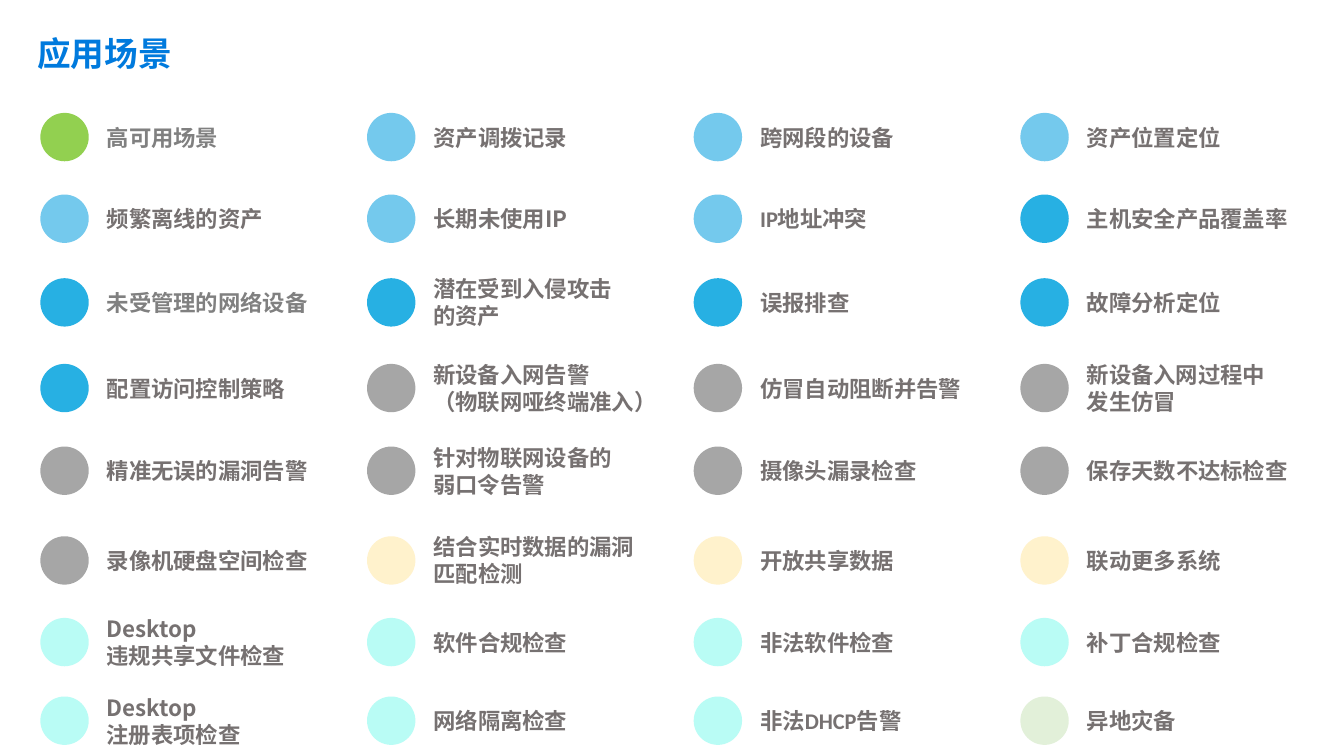
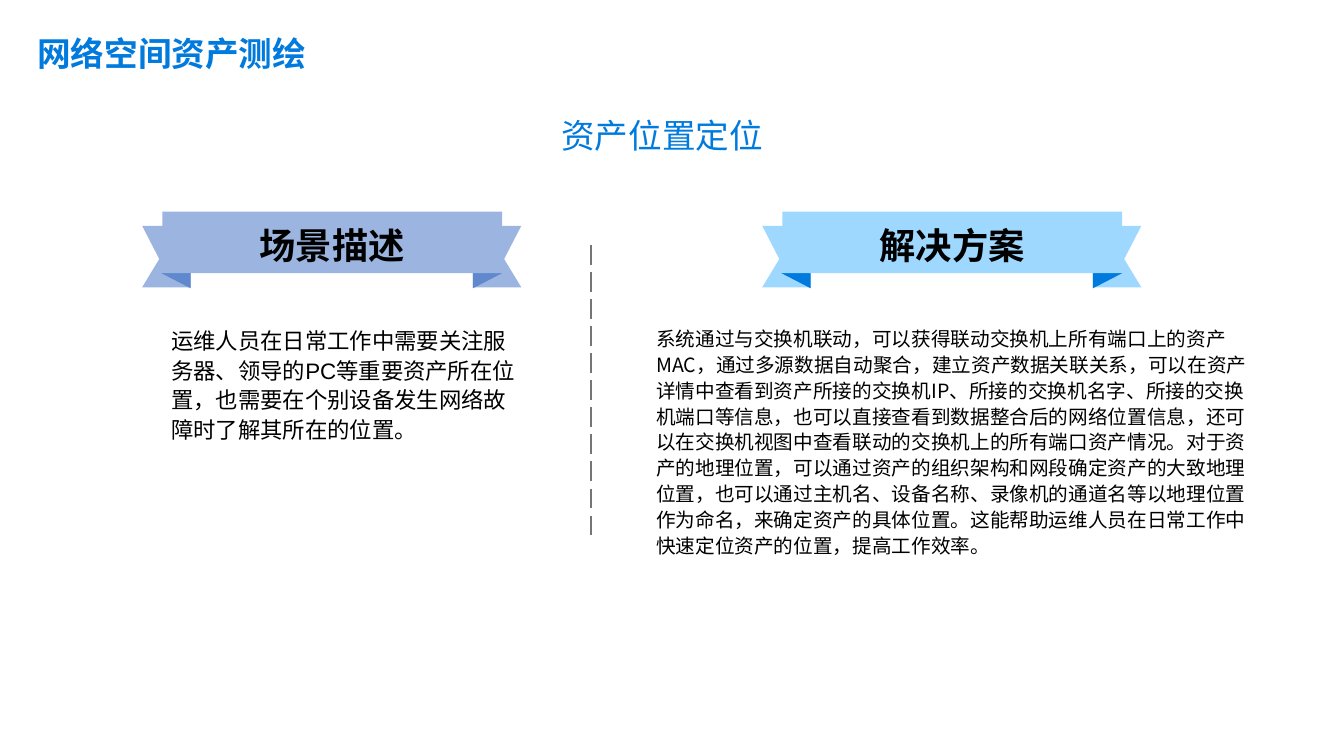
from lxml import etree
from pptx import Presentation
from pptx import util as u
from pptx.dml.color import RGBColor
from pptx.enum import dml, shapes, text
from pptx.oxml.ns import qn

PX = 9144
CJK = "Noto Sans CJK SC"
COLOURS = {
    "brand": "007ADD", "label": "767171", "label_light": "808080",
    "black": "000000", "divider": "757575",
    "green": "92D050", "sky": "74C9ED", "blue": "27B0E3", "grey": "A6A6A6",
    "cream": "FFF2CC", "mint": "B9FCF5", "pale": "E2F0D9",
    "wing_violet": "9BB5E0", "fold_violet": "5F88CD", "wing_blue": "9FD8FF",
}
SCENARIOS = [
    ("green", ["高可用场景"]),
    ("sky", ["资产调拨记录", "跨网段的设备", "资产位置定位",
             "频繁离线的资产", "长期未使用IP", "IP地址冲突"]),
    ("blue", ["主机安全产品覆盖率", "未受管理的网络设备", "潜在受到入侵攻击\n的资产",
              "误报排查", "故障分析定位", "配置访问控制策略"]),
    ("grey", ["新设备入网告警\n（物联网哑终端准入）", "仿冒自动阻断并告警",
              "新设备入网过程中\n发生仿冒", "精准无误的漏洞告警",
              "针对物联网设备的\n弱口令告警", "摄像头漏录检查",
              "保存天数不达标检查", "录像机硬盘空间检查"]),
    ("cream", ["结合实时数据的漏洞匹配检测", "开放共享数据", "联动更多系统"]),
    ("mint", ["Desktop\n违规共享文件检查", "软件合规检查", "非法软件检查",
              "补丁合规检查", "Desktop\n注册表项检查", "网络隔离检查",
              "非法DHCP告警"]),
    ("pale", ["异地灾备"]),
]
LIGHT_LABELS = {"高可用场景", "未受管理的网络设备"}
CALIBRI_LABELS = {"IP地址冲突", "非法DHCP告警"}
ROW_TOPS = [112, 193, 276, 361, 443, 532, 613, 691]
COLUMNS, COLUMN_LEFT, COLUMN_STEP, DOT = 4, 40, 324, 48

DESCRIPTION = ("运维人员在日常工作中需要关注服务器、领导的PC等重要资产所在位置，"
               "也需要在个别设备发生网络故障时了解其所在的位置。")
SOLUTION = (
    "系统通过与交换机联动，可以获得联动交换机上所有端口上的资产MAC，"
    "通过多源数据自动聚合，建立资产数据关联关系，"
    "可以在资产详情中查看到资产所接的交换机IP、所接的交换机名字、所接的交换机端口等信息，"
    "也可以直接查看到数据整合后的网络位置信息，"
    "还可以在交换机视图中查看联动的交换机上的所有端口资产情况。"
    "对于资产的地理位置，可以通过资产的组织架构和网段确定资产的大致地理位置，"
    "也可以通过主机名、设备名称、录像机的通道名等以地理位置作为命名，来确定资产的具体位置。"
    "这能帮助运维人员在日常工作中快速定位资产的位置，提高工作效率。")


def px(*lengths):
    return [n * PX for n in lengths]


def rgb(name):
    return RGBColor.from_string(COLOURS[name])


def write(tf, content, size, colour, font=CJK, bold=False,
          align=text.PP_ALIGN.LEFT, spacing=None):
    for i, line in enumerate(content.split("\n")):
        p = tf.add_paragraph() if i else tf.paragraphs[0]
        p.alignment = align
        p.line_spacing = spacing
        r = p.add_run()
        r.text = line
        r.font.size = u.Pt(size)
        r.font.bold = bold
        r.font.color.rgb = rgb(colour)
        r.font.name = font
        etree.SubElement(r.font._element, qn("a:ea")).set("typeface", CJK)


def paint(sp, colour):
    sp.fill.solid()
    sp.fill.fore_color.rgb = rgb(colour)
    sp.line.fill.background()
    sp.shadow.inherit = False


def add_text(slide, box, content, size, colour, wrap=True,
             anchor=text.MSO_ANCHOR.TOP, **style):
    tf = slide.shapes.add_textbox(*px(*box)).text_frame
    tf.word_wrap = wrap
    tf.vertical_anchor = anchor
    write(tf, content, size, colour, **style)


def add_titled_slide(prs, title):
    slide = prs.slides.add_slide(prs.slide_layouts[5])
    sp = slide.shapes.title
    sp.left, sp.top, sp.width, sp.height = px(27, 28, 1089, 50)
    tf = sp.text_frame
    tf.auto_size = text.MSO_AUTO_SIZE.NONE
    tf.vertical_anchor = text.MSO_ANCHOR.TOP
    write(tf, title, 24, "brand", bold=True)
    return slide


def add_scenario(slide, left, top, colour, label):
    dot = slide.shapes.add_shape(shapes.MSO_SHAPE.OVAL, *px(left, top, DOT, DOT))
    paint(dot, colour)
    width = 260 if "\n" in label else 222
    add_text(slide, (left + 56, top - 1, width, 50), label, 16,
             "label_light" if label in LIGHT_LABELS else "label",
             anchor=text.MSO_ANCHOR.MIDDLE, bold=True,
             font="Calibri" if label in CALIBRI_LABELS else CJK)


def add_outline(group, points, colour):
    corners = [px(*point) for point in points]
    builder = group.shapes.build_freeform(*corners[0])
    builder.add_line_segments(corners[1:], close=True)
    paint(builder.convert_to_shape(), colour)


def add_ribbon(slide, left, wing, fold, caption):
    group = slide.shapes.add_group_shape()
    tail = [(48, 285), (0, 285), (17, 257), (0, 224), (48, 224)]
    crease = [(19, 271), (48, 286), (48, 271)]
    for edge, direction in ((left, 1), (left + 376, -1)):
        for outline, colour in ((tail, wing), (crease, fold)):
            add_outline(group, [(edge + direction * x, y) for x, y in outline],
                        colour)
    band = group.shapes.add_shape(shapes.MSO_SHAPE.RECTANGLE,
                                  *px(left + 20, 210, 337, 61))
    paint(band, wing)
    band.text_frame.vertical_anchor = text.MSO_ANCHOR.MIDDLE
    write(band.text_frame, caption, 25.9, "black", font="Arial", bold=True,
          align=text.PP_ALIGN.CENTER, spacing=1.1)


def add_divider(slide, x, top, bottom):
    line = slide.shapes.add_connector(shapes.MSO_CONNECTOR.STRAIGHT,
                                      *px(x, top, x, bottom))
    line.line.color.rgb = rgb("divider")
    line.line.width = u.Pt(1.75)
    line.line.dash_style = dml.MSO_LINE.LONG_DASH
    etree.SubElement(line._element.spPr, qn("a:effectLst"))


def build_scenarios(prs):
    slide = add_titled_slide(prs, "应用场景")
    entries = [(colour, label) for colour, labels in SCENARIOS for label in labels]
    for i, (colour, label) in enumerate(entries):
        row, column = divmod(i, COLUMNS)
        add_scenario(slide, COLUMN_LEFT + column * COLUMN_STEP, ROW_TOPS[row],
                     colour, label)


def build_location(prs):
    slide = add_titled_slide(prs, "网络空间资产测绘")
    add_text(slide, (547, 109, 220, 50), "资产位置定位", 24, "brand",
             wrap=False, font="Arial")
    add_ribbon(slide, 141, "wing_violet", "fold_violet", "场景描述")
    add_text(slide, (160, 317, 361, 184), DESCRIPTION, 16, "black",
             font="Arial", spacing=1.1)
    add_ribbon(slide, 756, "wing_blue", "brand", "解决方案")
    add_text(slide, (641, 317, 606, 184), SOLUTION, 14, "black", spacing=1.1)
    add_divider(slide, 586, 243, 531)


def main():
    prs = Presentation()
    prs.slide_width, prs.slide_height = px(1333, 750)
    build_scenarios(prs)
    build_location(prs)
    prs.save("out.pptx")


if __name__ == "__main__":
    main()
